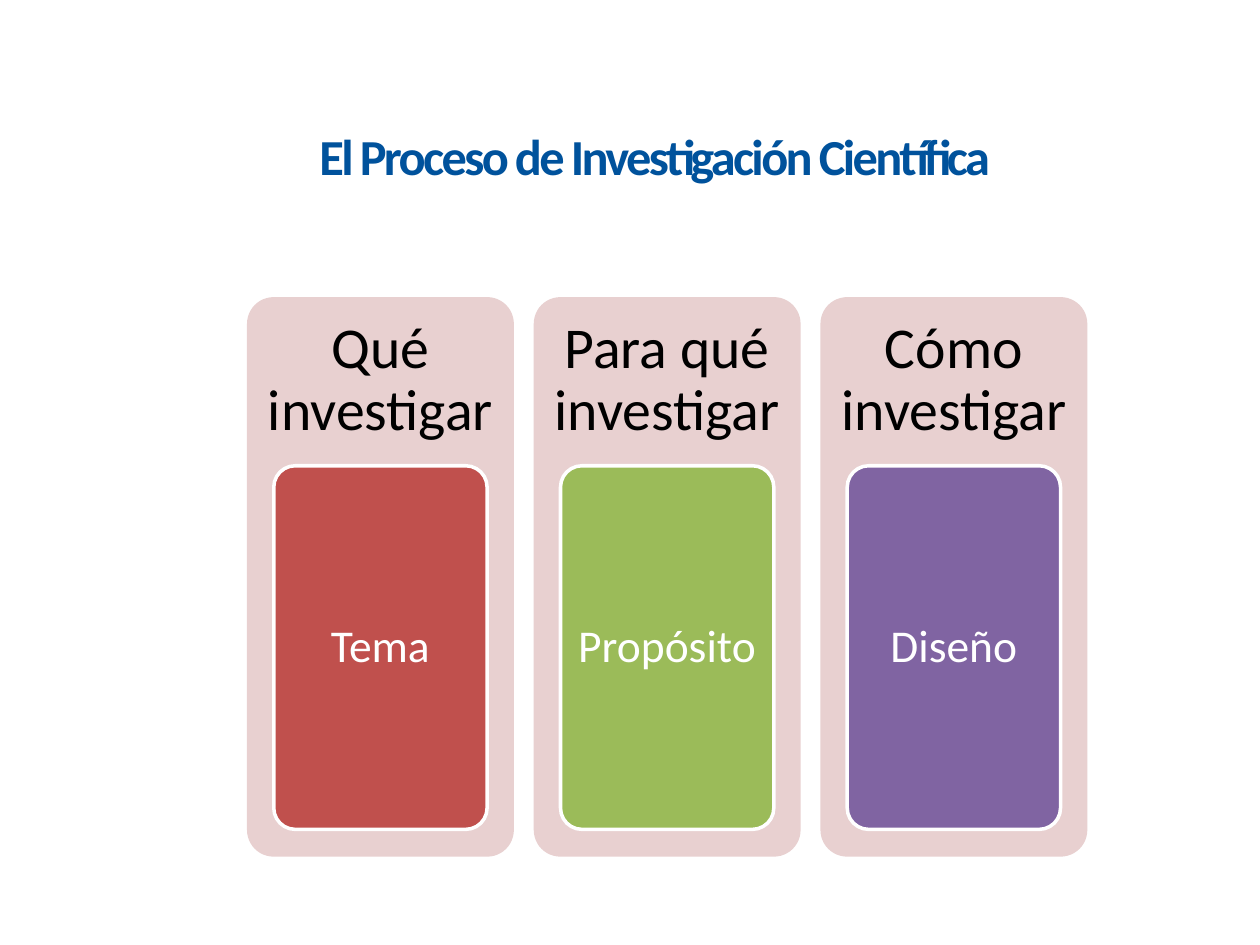
"""Build a slide with the three questions of the scientific research process."""
from dataclasses import dataclass

from pptx import Presentation
from pptx.dml.color import RGBColor
from pptx.enum.shapes import MSO_SHAPE
from pptx.enum.text import MSO_ANCHOR, MSO_AUTO_SIZE, PP_ALIGN
from pptx.shapes.autoshape import Shape
from pptx.slide import Slide
from pptx.text.text import TextFrame
from pptx.util import Cm, Pt

COLORS = {
    "title": "00529C",
    "column": "E8D0D0",
    "question": "000000",
    "white": "FFFFFF",
    "red": "C0504D",
    "green": "9BBB59",
    "purple": "8064A2",
}
FONT = "Calibri"
LEFT, TOP, WIDTH, HEIGHT = 4.98, 5.99, 5.38, 11.28
PITCH = 5.78
QUESTION_HEIGHT = 3.38
ANSWER_TOP, ANSWER_WIDTH, ANSWER_HEIGHT = 9.39, 4.3, 7.33


@dataclass(frozen=True)
class Stage:
    question: str
    answer: str
    color: str


STAGES = [
    Stage("Qué investigar", "Tema", "red"),
    Stage("Para qué investigar", "Propósito", "green"),
    Stage("Cómo investigar", "Diseño", "purple"),
]


def rgb(color: str) -> RGBColor:
    return RGBColor.from_string(COLORS[color])


def write(frame: TextFrame, text: str, size: float, color: str,
          side: float, edge: float, spacing: float = 0.9) -> None:
    frame.text = text
    frame.word_wrap = True
    frame.auto_size = MSO_AUTO_SIZE.NONE
    frame.vertical_anchor = MSO_ANCHOR.MIDDLE
    frame.margin_left = frame.margin_right = Cm(side)
    frame.margin_top = frame.margin_bottom = Cm(edge)
    paragraph = frame.paragraphs[0]
    paragraph.alignment = PP_ALIGN.CENTER
    paragraph.line_spacing = spacing
    paragraph.font.name = FONT
    paragraph.font.size = Pt(size)
    paragraph.font.color.rgb = rgb(color)


def add_panel(slide: Slide, left: float, top: float, width: float,
              height: float, color: str) -> Shape:
    panel = slide.shapes.add_shape(
        MSO_SHAPE.ROUNDED_RECTANGLE, Cm(left), Cm(top), Cm(width), Cm(height))
    panel.adjustments[0] = 0.1
    panel.shadow.inherit = False
    panel.fill.solid()
    panel.fill.fore_color.rgb = rgb(color)
    panel.line.fill.background()
    return panel


def add_stage(slide: Slide, stage: Stage, left: float) -> None:
    add_panel(slide, left, TOP, WIDTH, HEIGHT, "column")
    question = slide.shapes.add_textbox(
        Cm(left), Cm(TOP), Cm(WIDTH), Cm(QUESTION_HEIGHT))
    write(question.text_frame, stage.question, 33, "question", 0.36, 0.36)

    answer_left = left + (WIDTH - ANSWER_WIDTH) / 2
    answer = add_panel(slide, answer_left, ANSWER_TOP, ANSWER_WIDTH,
                       ANSWER_HEIGHT, stage.color)
    answer.line.color.rgb = rgb("white")
    answer.line.width = Pt(2)
    write(answer.text_frame, stage.answer, 26, "white", 0.18, 0.13)


def add_title(slide: Slide) -> None:
    title = slide.shapes.title
    title.left, title.top, title.width, title.height = (
        Cm(6.1), Cm(2.13), Cm(14.2), Cm(2.01))
    write(title.text_frame, "El Proceso de Investigación Científica",
          28.8, "title", 0.25, 0.13, 1.0)
    heading = title.text_frame.paragraphs[0]
    heading.font.bold = True
    heading.runs[0]._r.get_or_add_rPr().set("spc", "-150")


def main() -> None:
    presentation = Presentation()
    presentation.slide_width, presentation.slide_height = Cm(25.4), Cm(19.05)
    slide = presentation.slides.add_slide(presentation.slide_layouts[5])
    add_title(slide)
    for index, stage in enumerate(STAGES):
        add_stage(slide, stage, LEFT + index * PITCH)
    presentation.save("out.pptx")


if __name__ == "__main__":
    main()
